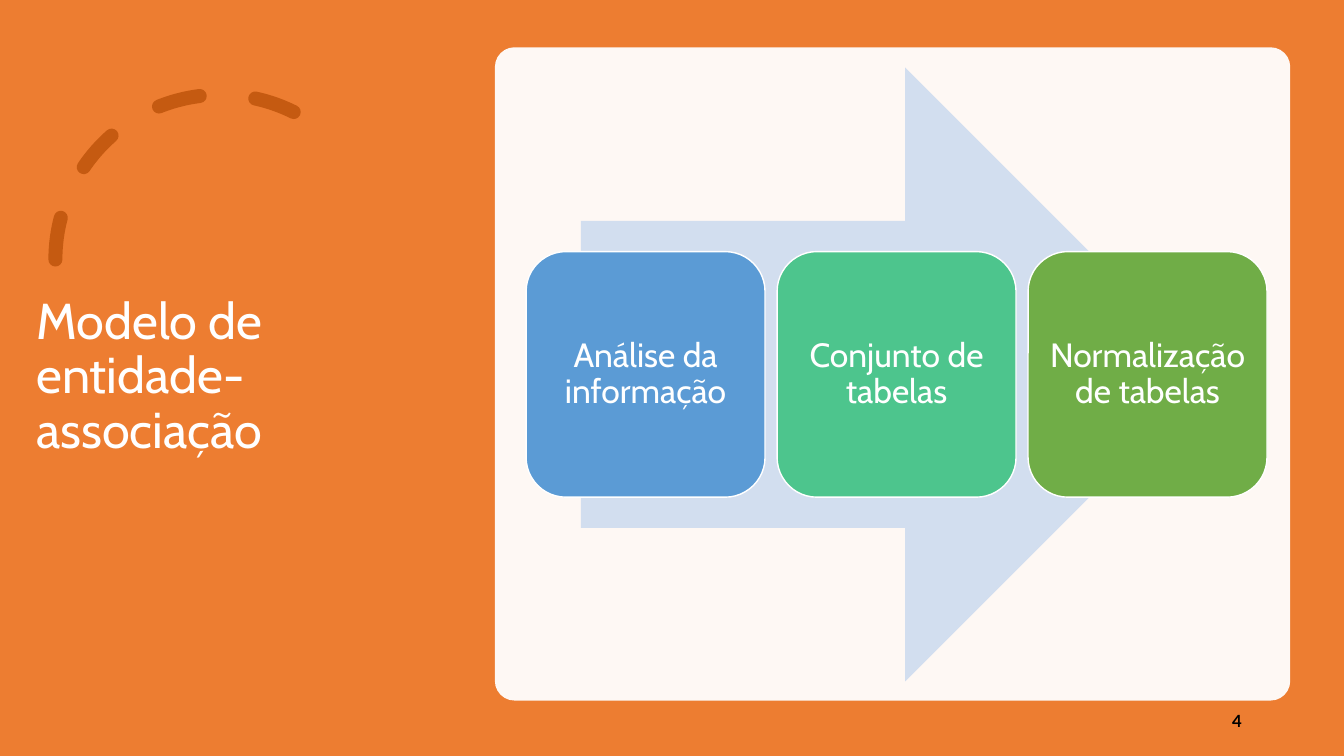
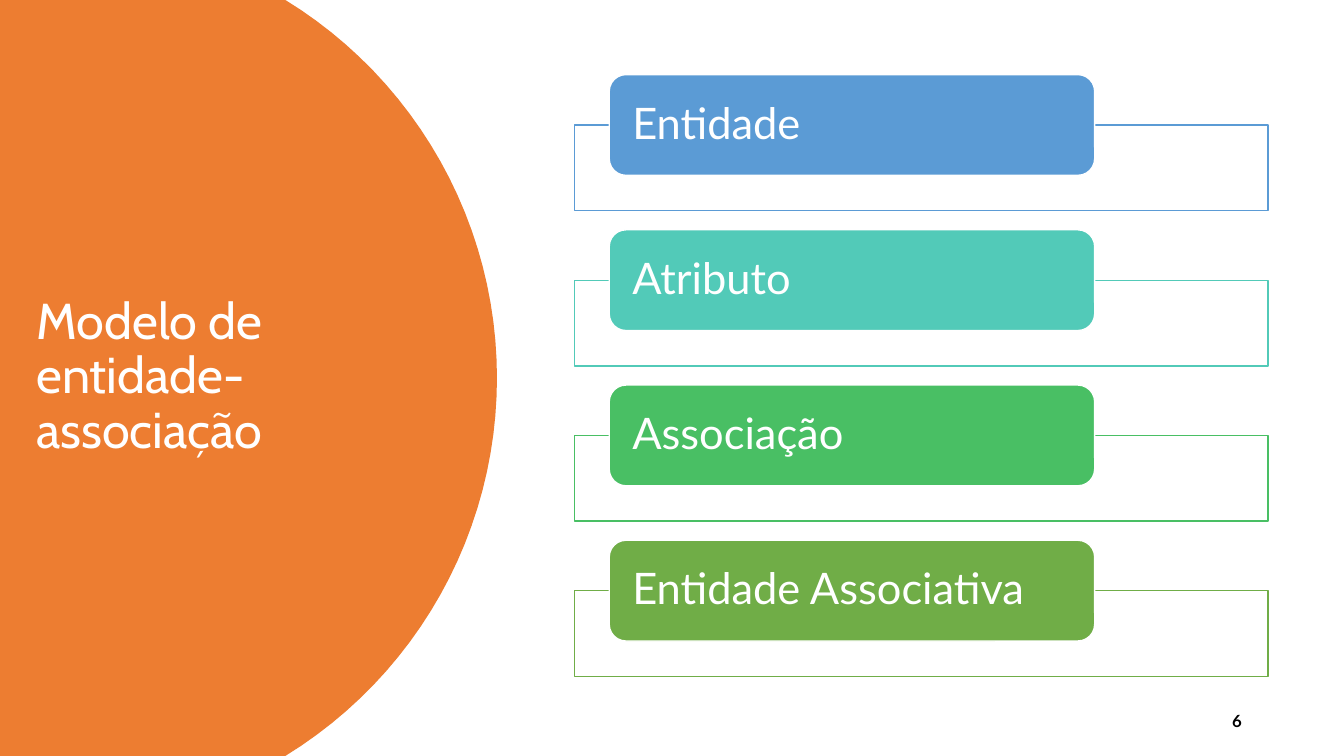
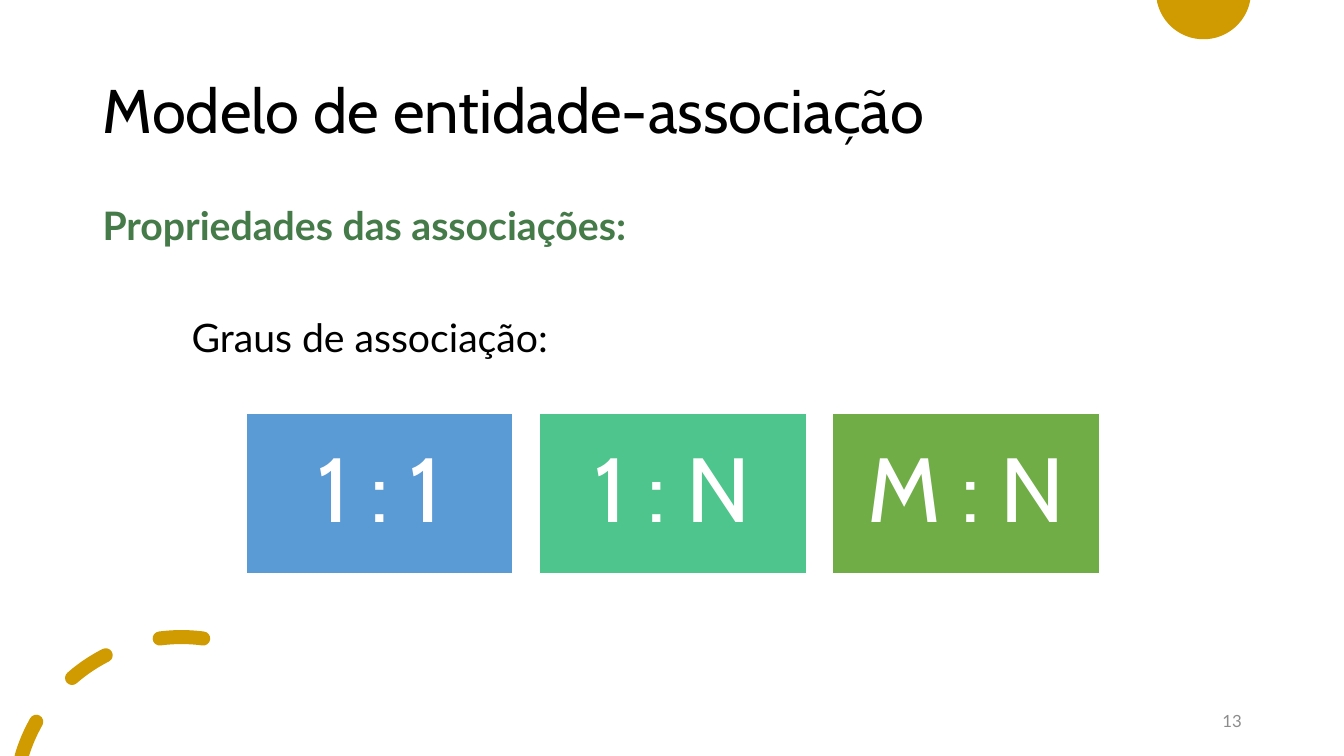
"""Builds three slides on the entity-association model."""
import math
from collections import namedtuple

from lxml import etree
from pptx import Presentation
from pptx import util as u
from pptx.dml.color import RGBColor
from pptx.enum import shapes, text
from pptx.oxml.ns import qn

Box = namedtuple("Box", "left top width height")
PAGE = Box(0, 0, 960, 540)
TITLE = "Modelo de entidade-associação"
HEADING, BODY = "Cabin", "Lato"
COLORS = {
    "white": "FFFFFF", "black": "000000", "grey": "8C8C8C",
    "orange": "ED7D31", "rust": "C55A11", "gold": "CF9B00",
    "pale": "D2DEEF", "blue": "5B9BD5", "mint": "4DC58D",
    "teal": "52CAB8", "emerald": "49BF64", "green": "70AD47", "forest": "457A49",
}
TRIO = ("blue", "mint", "green")
KINDS = shapes.MSO_SHAPE
LEFT, CENTER, RIGHT = text.PP_ALIGN.LEFT, text.PP_ALIGN.CENTER, text.PP_ALIGN.RIGHT
SIDE_TITLE = Box(18.7, 50.4, 316.8, 438.5)
TOP_TITLE = Box(66.2, 28.8, 828, 104.4)


def rgb(name):
    """Return the colour with this name."""
    return RGBColor.from_string(COLORS[name])


def place(box):
    """Turn a box in points into four lengths."""
    return [u.Pt(value) for value in box]


def columns(box, count, gap):
    """Split a box into equal columns with a gap between them."""
    width = (box.width - gap * (count - 1)) / count
    return [Box(box.left + i * (width + gap), box.top, width, box.height)
            for i in range(count)]


def paint(shape, fill=None, line=None, weight=1, alpha=None):
    """Set fill and line of a shape and drop its shadow."""
    shape.shadow.inherit = False
    if fill:
        shape.fill.solid()
        shape.fill.fore_color.rgb = rgb(fill)
    else:
        shape.fill.background()
    if alpha:
        color = shape.element.spPr.find(qn("a:solidFill"))[0]
        etree.SubElement(color, qn("a:alpha")).set("val", str(alpha * 1000))
    if line:
        shape.line.color.rgb = rgb(line)
        shape.line.width = u.Pt(weight)
    else:
        shape.line.fill.background()
    return shape


def block(page, kind, box, fill, line=None, alpha=None):
    """Add a preset shape."""
    return paint(page.shapes.add_shape(kind, *place(box)), fill, line, alpha=alpha)


def style(para, size, font, color, bold=False, align=LEFT, spacing=0.9):
    """Format a paragraph and its runs."""
    para.alignment = align
    para.line_spacing = spacing
    for span in para.runs:
        span.font.size = u.Pt(size)
        span.font.name = font
        span.font.bold = bold
        span.font.color.rgb = rgb(color)


def write(shape, words, size, font, color, inset=(7.2, 3.6), **options):
    """Put one vertically centred paragraph into a shape."""
    frame = shape.text_frame
    frame.text = words
    frame.word_wrap = True
    frame.auto_size = text.MSO_AUTO_SIZE.NONE
    frame.vertical_anchor = text.MSO_ANCHOR.MIDDLE
    frame.margin_left = frame.margin_right = u.Pt(inset[0])
    frame.margin_top = frame.margin_bottom = u.Pt(inset[1])
    style(frame.paragraphs[0], size, font, color, **options)


def arc_points(center, radius, start, end, steps=48):
    """Return points on a circle, with angles clockwise from the right."""
    angles = [math.radians(start + (end - start) * i / steps) for i in range(steps + 1)]
    return [(u.Pt(center[0] + radius * math.cos(a)), u.Pt(center[1] + radius * math.sin(a)))
            for a in angles]


def outline(page, paths, close):
    """Add one freeform made of several paths."""
    builder = page.shapes.build_freeform(*paths[0][0], scale=1.0)
    for index, points in enumerate(paths):
        if index:
            builder.move_to(*points[0])
        builder.add_line_segments(points[1:], close=close)
    return builder.convert_to_shape()


def round_stroke(shape, color, dash=None):
    """Draw a shape as a thick line with round ends."""
    paint(shape, line=color, weight=10)
    shape.line.dash_style = dash
    shape.line._get_or_add_ln().set("cap", "rnd")


def add_title(page, box, size, color):
    """Place the title above everything drawn so far."""
    title = page.shapes.title
    title.left, title.top, title.width, title.height = place(box)
    write(title, TITLE, size, HEADING, color)
    title.element.getparent().append(title.element)


def add_number(page, number, color="black", bold=True):
    """Write the slide number at the lower right."""
    label = page.shapes.add_textbox(*place(Box(678.2, 500.4, 216, 28.8)))
    write(label, str(number), 12, BODY, color, bold=bold, align=RIGHT, spacing=1.0)


def add_page(deck, background="white"):
    """Add a title-only slide with a plain background."""
    page = deck.slides.add_slide(deck.slide_layouts[5])
    page.background.fill.solid()
    page.background.fill.fore_color.rgb = rgb(background)
    return page


def corner_arc(page, box):
    """Draw the dashed arc above the side title."""
    arc = page.shapes.add_shape(KINDS.ARC, *place(box))
    arc.adjustments[0] = 180 * 0.6
    arc.adjustments[1] = 296.5 * 0.6
    round_stroke(arc, "rust", shapes_dash())


def shapes_dash():
    """Return the dash style of the corner arc."""
    from pptx.enum import dml
    return dml.MSO_LINE.DASH


def gold_ornaments(page):
    """Draw the half disc at the top and the three dashes at the bottom."""
    disc = outline(page, [arc_points((859.7, -5.8), 33.9, 9.9, 170.1)], True)
    paint(disc, "gold")
    spans = ((196.5, 209.5), (229, 243), (262.5, 277.5))
    dashes = [arc_points((129.6, 574.2), 119.1, *span, steps=12) for span in spans]
    round_stroke(outline(page, dashes, False), "gold")


def process(page, box, steps):
    """Draw steps in a row across a wide arrow."""
    arrow_width = box.width * 0.852
    arrow = Box(box.left + (box.width - arrow_width) / 2, box.top, arrow_width, box.height)
    block(page, KINDS.RIGHT_ARROW, arrow, "pale")
    row = Box(box.left, box.top + box.height * 0.3, box.width, box.height * 0.4)
    for words, color, cell in zip(steps, TRIO, columns(row, len(steps), 8.6)):
        card = block(page, KINDS.ROUNDED_RECTANGLE, cell, color, "white")
        write(card, words, 24, HEADING, "white", inset=(6.5, 7.2), align=CENTER)


def tab_list(page, box, items):
    """Draw framed rows, each with a coloured tab over its upper edge."""
    tab_height, frame_drop, frame_height = 72, 36, 61.2
    step = (box.height - frame_drop - frame_height) / (len(items) - 1)
    for index, (words, color) in enumerate(items):
        top = box.top + index * step
        block(page, KINDS.RECTANGLE,
              Box(box.left, top + frame_drop, box.width, frame_height), "white", color, alpha=90)
        tab = block(page, KINDS.ROUNDED_RECTANGLE,
                    Box(box.left + box.width * 0.05, top, box.width * 0.7, tab_height),
                    color, "white")
        write(tab, words, 31, BODY, "white", inset=(13, 0))


def degree_tiles(page, box, labels):
    """Draw a row of tiles with large labels."""
    for words, color, cell in zip(labels, TRIO, columns(box, len(labels), 18.7)):
        tile = block(page, KINDS.RECTANGLE, cell, color, "white")
        write(tile, words, 65, HEADING, "white", inset=(19.4, 19.4), align=CENTER)


def properties_text(page, box):
    """Write the green heading and the indented line below it."""
    frame = page.shapes.add_textbox(*place(box)).text_frame
    frame.word_wrap = True
    heading = frame.paragraphs[0]
    heading.text = "Propriedades das associações:"
    style(heading, 28, BODY, "forest", bold=True)
    detail = frame.add_paragraph()
    detail.text = "Graus de associação:"
    style(detail, 28, BODY, "black")
    detail.space_before = u.Pt(50)
    detail._p.get_or_add_pPr().set("marL", str(u.Pt(63.6)))


def process_slide(deck):
    """Build the slide with the three steps."""
    page = add_page(deck, "orange")
    corner_arc(page, Box(39.6, 67.7, 235.4, 235.4))
    panel = block(page, KINDS.ROUNDED_RECTANGLE, Box(353.5, 33.8, 568.1, 466.6),
                  "white", alpha=95)
    panel.adjustments[0] = 0.03
    process(page, Box(375.8, 48.2, 529.2, 438.5),
            ("Análise da informação", "Conjunto de tabelas", "Normalização de tabelas"))
    add_title(page, SIDE_TITLE, 36, "white")
    add_number(page, 4)


def elements_slide(deck):
    """Build the slide with the elements of the model."""
    page = add_page(deck)
    corners = [(0, u.Pt(PAGE.height)), (0, 0)]
    curve = arc_points((38.3, 270), 316.7, -58.49, 58.49)
    paint(outline(page, [corners + curve], True), "orange")
    tab_list(page, Box(410.4, 53.3, 495.4, 429.8),
             (("Entidade", "blue"), ("Atributo", "teal"),
              ("Associação", "emerald"), ("Entidade Associativa", "green")))
    add_title(page, SIDE_TITLE, 36, "white")
    add_number(page, 6)


def degrees_slide(deck):
    """Build the slide with the degrees of association."""
    page = add_page(deck)
    gold_ornaments(page)
    properties_text(page, Box(66.2, 144, 828, 303.8))
    add_number(page, 13, "grey", bold=False)
    add_title(page, TOP_TITLE, 44, "black")
    degree_tiles(page, Box(175.7, 295.2, 609.8, 114.5), ("1 : 1", "1 : N", "M : N"))


def main():
    """Build and save the deck."""
    deck = Presentation()
    deck.slide_width, deck.slide_height = u.Pt(PAGE.width), u.Pt(PAGE.height)
    process_slide(deck)
    elements_slide(deck)
    degrees_slide(deck)
    deck.save("out.pptx")


if __name__ == "__main__":
    main()
